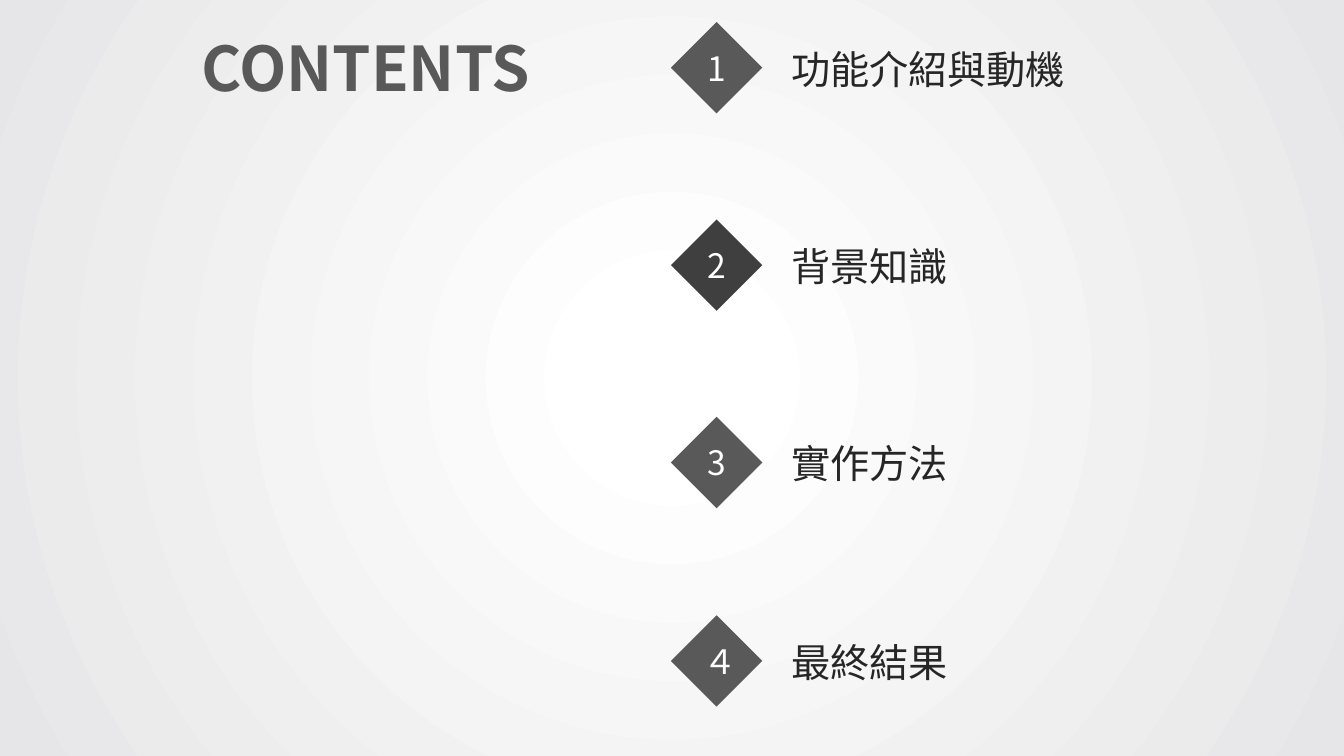
from lxml.etree import SubElement as sub
from pptx import Presentation
from pptx.dml.color import RGBColor as RGB
from pptx.enum.shapes import MSO_SHAPE as SHAPE
from pptx.enum.text import MSO_ANCHOR as ANCHOR, MSO_AUTO_SIZE as AUTO, PP_ALIGN as ALIGN
from pptx.oxml.ns import qn
from pptx.util import Pt

PX = 9525  # 96 px to the inch
FONT = "Noto Sans CJK SC"
WHITE = RGB(0xFF, 0xFF, 0xFF)
MIST = RGB(0xE6, 0xE6, 0xE8)
GRAY = RGB(0x59, 0x59, 0x59)
DARK = RGB(0x3F, 0x3F, 0x3F)
INK = RGB(0x26, 0x26, 0x26)

ITEMS = [
    ("1", "功能介紹與動機", GRAY, 284),
    ("2", "背景知識", DARK, 252),
    ("3", "實作方法", GRAY, 284),
    ("４", "最終結果", GRAY, 284),
]


def px(*nums):
    return [n * PX for n in nums]


def write(shape, text, size, color, bold=False, align=ALIGN.LEFT):
    frame = shape.text_frame
    frame.word_wrap = True
    para = frame.paragraphs[0]
    para.alignment = align
    run = para.add_run()
    run.text = text
    font = run.font
    font.name, font.size, font.bold = FONT, Pt(size), bold
    font.color.rgb = color
    sub(font._element, qn("a:ea"), typeface=FONT)


def label(shapes, box, text, size, color, bold=False):
    item = shapes.add_textbox(*px(*box))
    write(item, text, size, color, bold)
    item.text_frame.auto_size = AUTO.SHAPE_TO_FIT_TEXT


# Radial glow from the centre of the slide
def backdrop(slide):
    fill = slide.background.fill
    fill.gradient()
    for stop, color, pos in zip(fill.gradient_stops, (WHITE, MIST), (0.09, 1)):
        stop.color.rgb, stop.position = color, pos
    grad = slide._element.find(".//" + qn("a:gradFill"))
    grad.remove(grad.find(qn("a:lin")))
    glow = sub(grad, qn("a:path"), path="circle")
    sub(glow, qn("a:fillToRect"), l="50000", t="50000", r="50000", b="50000")


# Numbered diamond with its topic beside it
def entry(slide, left, top, side, num, topic, color, width):
    shapes = slide.shapes.add_group_shape().shapes
    mark = shapes.add_shape(SHAPE.DIAMOND, *px(left, top, side, side))
    mark.shadow.inherit = False
    mark.fill.solid()
    mark.fill.fore_color.rgb = color
    mark.line.fill.background()
    mark.text_frame.vertical_anchor = ANCHOR.MIDDLE
    write(mark, num, 24, WHITE, align=ALIGN.CENTER)
    label(shapes, (left + side + 18, top + 17, width, 55), topic, 28, INK)


# Entries spread evenly from the top to the bottom of the box
def agenda(slide, left, top, height, side=87):
    for i, item in enumerate(ITEMS):
        drop = i * (height - side) // (len(ITEMS) - 1)
        entry(slide, left, top + drop, side, *item)


def main():
    deck = Presentation()
    deck.slide_width, deck.slide_height = px(1280, 720)
    slide = deck.slides.add_slide(deck.slide_layouts[6])
    backdrop(slide)
    label(slide.shapes, (182, 24, 352, 81), "CONTENTS", 44, GRAY, bold=True)
    agenda(slide, 639, 21, 652)
    deck.save("out.pptx")


if __name__ == "__main__":
    main()
